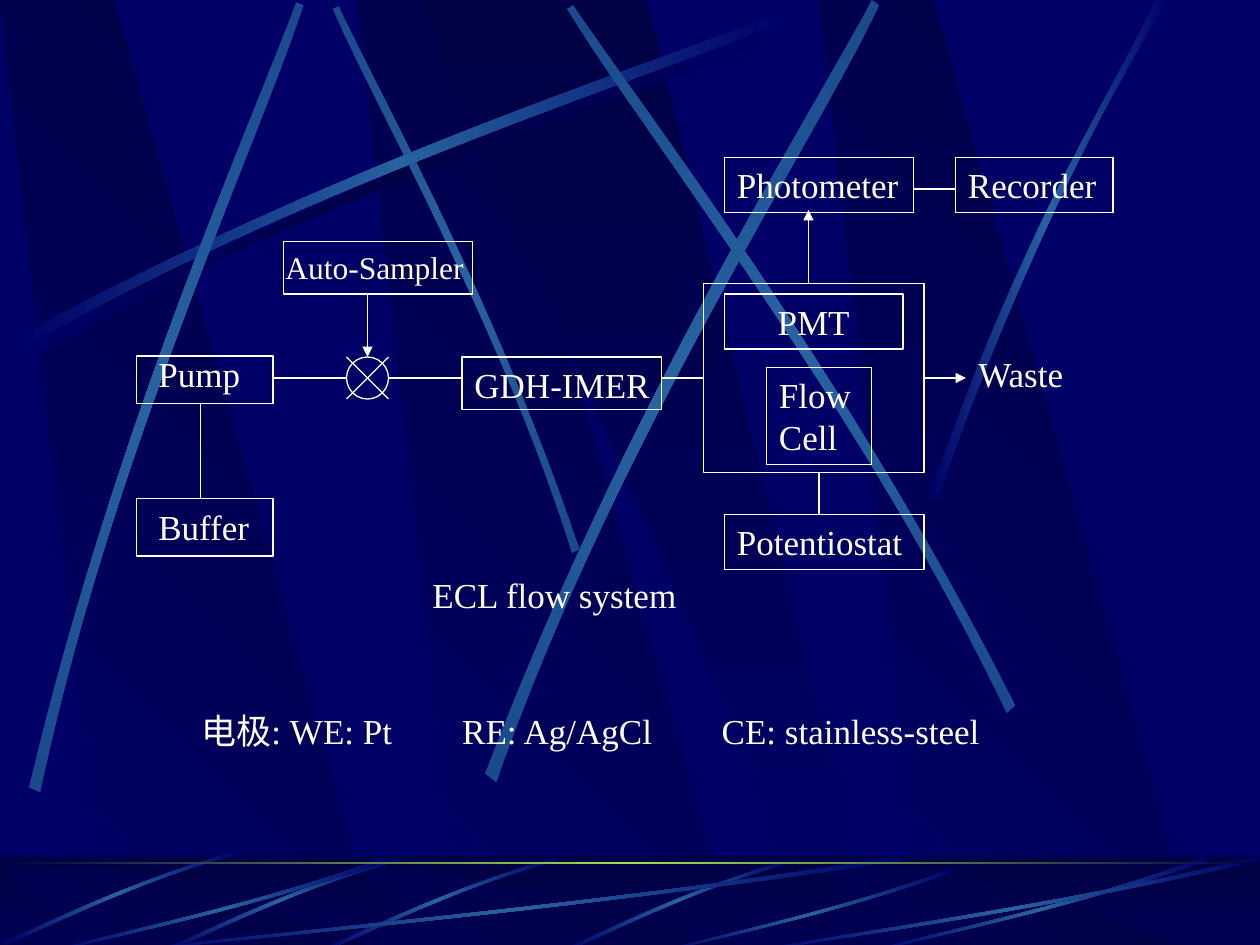
import copy

import pptx
import pptx.dml.color
import pptx.enum.shapes
import pptx.enum.text
import pptx.oxml
import pptx.oxml.ns
import pptx.util

THEME = {
    "navy": "000066", "deep": "000044", "blue": "2663A0", "dim": "1A4A8C",
    "green": "9CE157", "ink": "FFFFFF",
    "font": "Times New Roman", "body": 20, "small": 18, "rule": 0.75,
}
rgb = {k: pptx.dml.color.RGBColor.from_string(v)
       for k, v in THEME.items() if k not in ("font", "body", "small", "rule")}
qn = pptx.oxml.ns.qn
NS = pptx.oxml.ns.nsdecls("a")
SHAPE = pptx.enum.shapes.MSO_SHAPE
ALIGN = pptx.enum.text.PP_ALIGN

prs = pptx.Presentation()
prs.slide_width, prs.slide_height = pptx.util.Inches(10), pptx.util.Inches(7.5)
INCH = prs.slide_width / 10
CELL = prs.slide_width / 120  # the diagram sits on a grid of 120 columns
master = prs.slide_master
shapes = prs.slides.add_slide(prs.slide_layouts[6]).shapes
master.background.fill.solid()
master.background.fill.fore_color.rgb = rgb["navy"]


def paint(s, names, angle):
    """Fill with evenly spaced gradient stops; angle is clockwise."""
    s.shadow.inherit = False
    s.line.fill.background()
    s.fill.gradient()
    s.fill.gradient_angle = -angle % 360
    stops = s._element.spPr.find(".//" + qn("a:gsLst"))
    for _ in names[2:]:
        stops.insert(1, copy.deepcopy(stops[0]))
    for i, (stop, name) in enumerate(zip(s.fill.gradient_stops, names)):
        stop.position = i / (len(names) - 1)
        stop.color.rgb = rgb[name]


def patch(points, box, names, angle):
    """Draw an outline in a box; eight points are two facing Bezier edges."""
    x, y, w, h = box
    spots = [(round((x + w * px) * INCH), round((y + h * py) * INCH))
             for px, py in points]
    builder = shapes.build_freeform(*spots[0])
    builder.add_line_segments(spots[1:], close=True)
    s = builder.convert_to_shape()
    if len(points) == 8:
        lines = s._element.spPr.findall(".//" + qn("a:lnTo"))
        for edge in (lines[:3], lines[4:7]):
            curve = pptx.oxml.parse_xml(f"<a:cubicBezTo {NS}/>")
            edge[0].addprevious(curve)
            for line in edge:
                curve.append(line[0])
                line.getparent().remove(line)
    paint(s, names, angle)


# Backdrop: slanted bands, used on the wall and again on the floor
BAND = [(0.28, 1), (1, 1), (0.3, 0), (0, 0)]
WEDGE = [(0, 0), (0.9, 1), (1, 1), (0.5, 0)]
GLOW = ("navy", "blue", "navy")
SHADE = ("navy", "deep", "navy")
BEAM = ("dim", "blue", "dim")
WALL, FLOOR = (0, 7.52), (6.88, 0.66)

for top, height in (WALL, FLOOR):
    if top:
        s = shapes.add_shape(SHAPE.RECTANGLE, 0, round(6.8 * INCH),
                             prs.slide_width, round(0.75 * INCH))
        paint(s, ("deep", "navy"), 90)
    for left in (2.83, 0, 6.5):
        patch(BAND, (left, top, 3.02, height), ("navy", "deep"), 315)
    patch(WEDGE, (3.33, top, 3.61, height), ("deep", "navy"), 90)
    if top:
        continue
    # Light streaks on the wall, in inches
    long_streak = [(0.14, 2.67), (2.78, 1.25), (5.18, 0.51), (6.2, 0.1),
                   (6.23, 0.16), (5.22, 0.61), (2.48, 1.43), (0.17, 2.77)]
    for points, names, angle in (
        ([(px + 0.06, py + 0.08) for px, py in long_streak], SHADE, 0),
        ([(4.6, 4.36), (3.91, 2.34), (3.02, 0.77), (2.69, 0.05),
          (2.64, 0.07), (2.95, 0.79), (3.98, 2.58), (4.54, 4.39)], BEAM, 45),
        (long_streak, GLOW, 0),
        ([(0.23, 6.25), (0.93, 3.34), (1.97, 1.05), (2.35, 0.02),
          (2.41, 0.04), (2.07, 1.08), (0.86, 3.68), (0.32, 6.29)], BEAM, 311.7),
        ([(3.85, 6.14), (4.98, 3.2), (6.38, 1.02), (6.92, 0),
          (6.98, 0.04), (6.49, 1.08), (4.86, 3.55), (3.94, 6.21)], BEAM, 321.6),
        ([(8.06, 5.6), (6.7, 2.93), (5.16, 0.95), (4.55, 0.04),
          (4.5, 0.07), (5.07, 1.01), (6.85, 3.25), (7.99, 5.66)], BEAM, 34.8),
        ([(7.38, 3.93), (8.14, 1.73), (8.88, 0.66), (9.17, 0),
          (9.27, 0), (8.36, 1.45), (7.69, 3.22), (7.44, 3.97)], GLOW, 0),
    ):
        patch(points, (0, 0, 1, 1), names, angle)

# Half-transparent veil over the floor
s = shapes.add_shape(SHAPE.RECTANGLE, 0, round(6.79 * INCH),
                     prs.slide_width, round(0.75 * INCH))
s.shadow.inherit = False
s.line.fill.background()
s.fill.solid()
s.fill.fore_color.rgb = rgb["deep"]
s._element.spPr.find(".//" + qn("a:srgbClr")).append(
    pptx.oxml.parse_xml(f'<a:alpha {NS} val="50000"/>'))

# Floor streaks: two outlines, placed and stretched
ARC = [(1, 0), (0.53, 0.33), (0.17, 0.8), (0, 0.97),
       (0.01, 1), (0.17, 0.84), (0.58, 0.31), (1, 0.04)]
SWEEP = [(1, 0.04), (0.57, 0.57), (0.17, 0.85), (0.01, 1),
         (0, 0.99), (0.17, 0.81), (0.61, 0.51), (0.99, 0)]
patch(ARC, (4.48, 6.82, 1.8, 0.73), GLOW, 0)
for left, top in ((2.56, 6.8), (1.31, 6.8), (0.02, 6.75)):
    patch(ARC, (left, top, 1.87, 0.75), GLOW, 315)
for left, top, width in ((1, 6.8, 6.17), (0.42, 6.8, 2.67), (5.27, 6.89, 2.31),
                         (6.92, 6.8, 2.67), (6, 6.8, 4)):
    patch(SWEEP, (left, top, width, 7.55 - top), GLOW, 0)
s = shapes.add_shape(SHAPE.RECTANGLE, 0, round(6.84 * INCH),
                     prs.slide_width, round(0.02 * INCH))
paint(s, ("deep", "green", "deep"), 0)

# The backdrop belongs to the master; the slide keeps the diagram
for number, s in enumerate(list(shapes), 100):
    s._element.nvSpPr.cNvPr.set("id", str(number))
    master.shapes._spTree.append(s._element)

# Connections in grid cells: from, to, arrowhead
for x1, y1, x2, y2, arrow in (
    (19.1, 38.4, 19.1, 47.5, False), (26, 36, 33, 36, False),
    (35, 28, 35, 34, True), (33, 34, 37, 38, False), (33, 38, 37, 34, False),
    (37, 36, 44, 36, False), (63, 36, 67, 36, False), (88, 36, 92, 36, True),
    (78, 45, 78, 49, False), (77, 27, 77, 20, True), (87, 18, 91, 18, False),
):
    c = shapes.add_connector(pptx.enum.shapes.MSO_CONNECTOR.STRAIGHT,
                             *(round(v * CELL) for v in (x1, y1, x2, y2)))
    c.line.color.rgb = rgb["ink"]
    c.line.width = pptx.util.Pt(THEME["rule"])
    spPr = c._element.spPr
    if arrow:
        spPr.find(qn("a:ln")).append(
            pptx.oxml.parse_xml(f'<a:tailEnd {NS} type="triangle"/>'))
    spPr.append(pptx.oxml.parse_xml(f"<a:effectLst {NS}/>"))

# Frames in grid cells: pump, buffer, valve, sampler, reactor, detector
ROW = 5.25
frames = [
    (SHAPE.RECTANGLE, (13, 33.9, 13, 4.5), ""),
    (SHAPE.RECTANGLE, (13, 47.5, 13, 5.45), ""),
    (SHAPE.OVAL, (33, 34, 4, 4), ""),
    (SHAPE.RECTANGLE, (27, 23, 18, 5), ""),
    (SHAPE.RECTANGLE, (44, 34, 19, 5), ""),
    (SHAPE.RECTANGLE, (67, 27, 21, 18), ""),
    (SHAPE.RECTANGLE, (69, 28, 17, ROW), "PMT"),
    (SHAPE.RECTANGLE, (73, 35, 10, 9.25), "Flow Cell"),
    (SHAPE.RECTANGLE, (69, 49, 19, ROW), "Potentiostat"),
    (SHAPE.RECTANGLE, (69, 15, 18, ROW), "Photometer"),
    (SHAPE.RECTANGLE, (91, 15, 15, ROW), "Recorder"),
]
labels = [
    (None, (13.9, 33, 10.4, ROW), "Pump"),
    (None, (13.9, 47.55, 11.3, ROW), "Buffer"),
    (None, (26, 23, 20, 4.8), "Auto-Sampler"),
    (None, (44, 34, 20, ROW), "GDH-IMER"),
    (None, (92, 33, 11, ROW), "Waste"),
    (None, (40, 54, 28, ROW), "ECL flow system"),
    (None, (18, 67, 77, ROW), "电极: WE: Pt\tRE: Ag/AgCl\tCE: stainless-steel"),
]
for kind, box, text in frames + labels:
    place = [round(v * CELL) for v in box]
    if kind is None:
        s = shapes.add_textbox(*place)
    else:
        s = shapes.add_shape(kind, *place)
        s.shadow.inherit = False
        s.fill.background()
        s.line.color.rgb = rgb["ink"]
        s.line.width = pptx.util.Pt(THEME["rule"])
    if not text:
        continue
    tf = s.text_frame
    tf.word_wrap = True
    tf.vertical_anchor = pptx.enum.text.MSO_ANCHOR.TOP
    p = tf.paragraphs[0]
    p.alignment = ALIGN.CENTER if text == "PMT" else ALIGN.LEFT
    if "\t" in text:
        stops = "".join(f'<a:tab pos="{round(v * INCH)}" algn="l"/>'
                        for v in (2.07, 4.13))
        p._p.get_or_add_pPr().append(
            pptx.oxml.parse_xml(f"<a:tabLst {NS}>{stops}</a:tabLst>"))
    r = p.add_run()
    r.text = text
    size = THEME["small" if text == "Auto-Sampler" else "body"]
    for name, value in {"name": THEME["font"],
                        "size": pptx.util.Pt(size)}.items():
        setattr(r.font, name, value)
    r.font.color.rgb = rgb["ink"]

prs.save("out.pptx")
